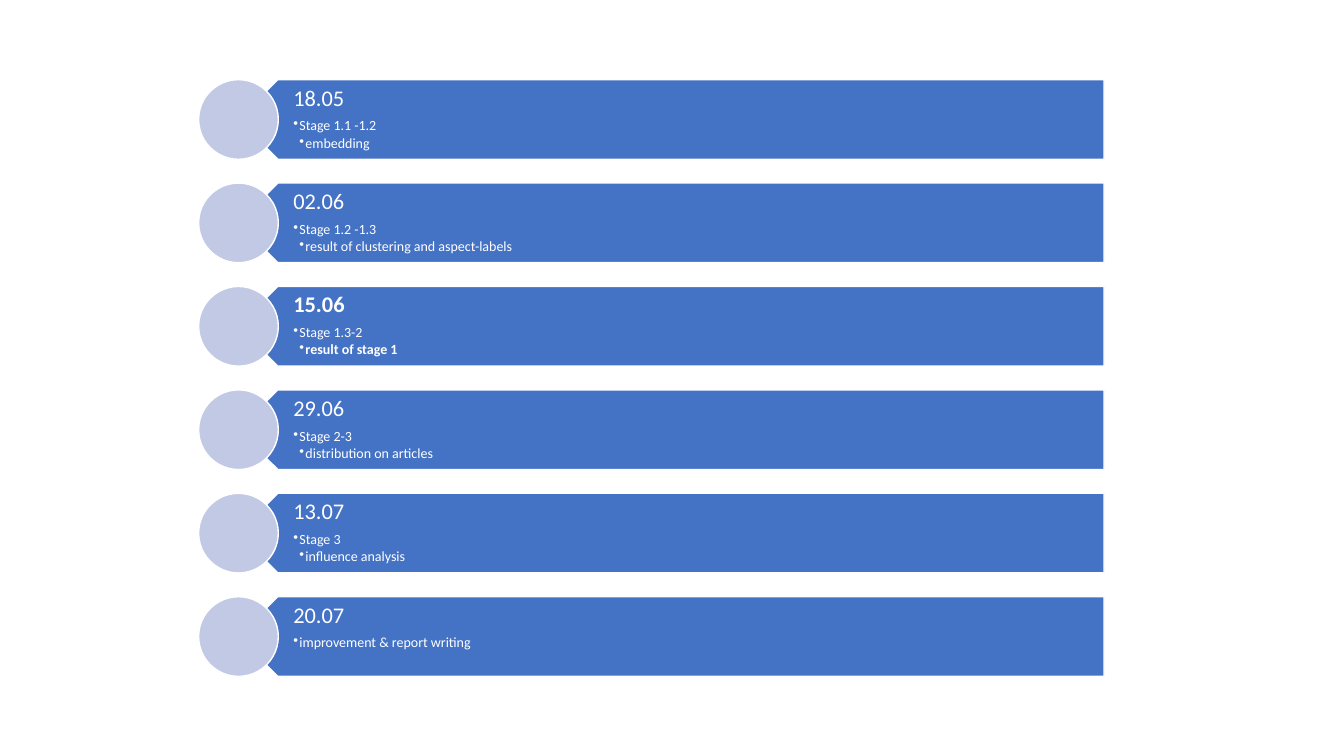
from pptx import Presentation
from pptx import util as u
from pptx.dml.color import RGBColor
from pptx.enum import shapes, text
from pptx.oxml.ns import qn
from lxml import etree

COLORS = {"bar": "4472C4", "circle": "C1C9E4", "white": "FFFFFF"}
FONT = "Calibri"

# Row geometry in inches
FIRST_TOP, ROW_STEP, ROW_HEIGHT = 0.79, 1.026, 0.79
CIRCLE_LEFT, BAR_LEFT, TEXT_LEFT, BAR_RIGHT = 1.97, 2.36, 2.56, 10.95
BULLET_INDENT = 0.06

# Date, entries below it, and whether the row is a highlighted milestone
MILESTONES = [
    ("18.05", ["Stage 1.1 -1.2", "embedding"], False),
    ("02.06", ["Stage 1.2 -1.3", "result of clustering and aspect-labels"], False),
    ("15.06", ["Stage 1.3-2", "result of stage 1"], True),
    ("29.06", ["Stage 2-3", "distribution on articles"], False),
    ("13.07", ["Stage 3", "influence analysis"], False),
    ("20.07", ["improvement & report writing"], False),
]


def rgb(name):
    return RGBColor.from_string(COLORS[name])


def add_outlined(row, preset, left, top, width, color):
    outlined = row.shapes.add_shape(
        preset, u.Inches(left), u.Inches(top), u.Inches(width), u.Inches(ROW_HEIGHT))
    outlined.shadow.inherit = False
    outlined.fill.solid()
    outlined.fill.fore_color.rgb = rgb(color)
    outlined.line.color.rgb = rgb("white")
    outlined.line.width = u.Pt(1)
    return outlined


def style_line(line, size, bold, space_share):
    line.font.name = FONT
    line.font.size = u.Pt(size)
    line.font.bold = bold
    line.font.color.rgb = rgb("white")
    line.line_spacing = 0.9
    line.space_after = u.Pt(size * space_share)


def add_bullet(line, level):
    line.level = level
    props = line._p.get_or_add_pPr()
    props.set("marL", str(u.Inches(BULLET_INDENT * level)))
    props.set("indent", str(u.Inches(-BULLET_INDENT)))
    etree.SubElement(props, qn("a:buChar")).set("char", "•")


def add_entries(row, top, date, entries, highlighted):
    box = row.shapes.add_textbox(
        u.Inches(TEXT_LEFT), u.Inches(top),
        u.Inches(BAR_RIGHT - TEXT_LEFT), u.Inches(ROW_HEIGHT))
    frame = box.text_frame
    frame.word_wrap = True
    frame.vertical_anchor = text.MSO_ANCHOR.TOP
    frame.margin_left, frame.margin_right = u.Inches(0.35), u.Inches(0.12)
    frame.margin_top = frame.margin_bottom = u.Inches(0.07)

    heading = frame.paragraphs[0]
    heading.text = date
    style_line(heading, 16, highlighted, 0.35)
    for level, entry in enumerate(entries, start=1):
        line = frame.add_paragraph()
        line.text = entry
        style_line(line, 10, highlighted and level == 2, 0.15)
        add_bullet(line, level)


def add_milestone(slide, top, date, entries, highlighted):
    row = slide.shapes.add_group_shape()
    bar = add_outlined(row, shapes.MSO_SHAPE.PENTAGON, BAR_LEFT, top,
                       BAR_RIGHT - BAR_LEFT, "bar")
    bar.rotation = 180
    add_entries(row, top, date, entries, highlighted)
    add_outlined(row, shapes.MSO_SHAPE.OVAL, CIRCLE_LEFT, top, ROW_HEIGHT, "circle")


def main():
    deck = Presentation()
    deck.slide_width, deck.slide_height = u.Inches(13.33), u.Inches(7.5)
    slide = deck.slides.add_slide(deck.slide_layouts[6])

    # Timeline rows at equal steps
    for index, milestone in enumerate(MILESTONES):
        add_milestone(slide, FIRST_TOP + index * ROW_STEP, *milestone)

    deck.save("out.pptx")


if __name__ == "__main__":
    main()
